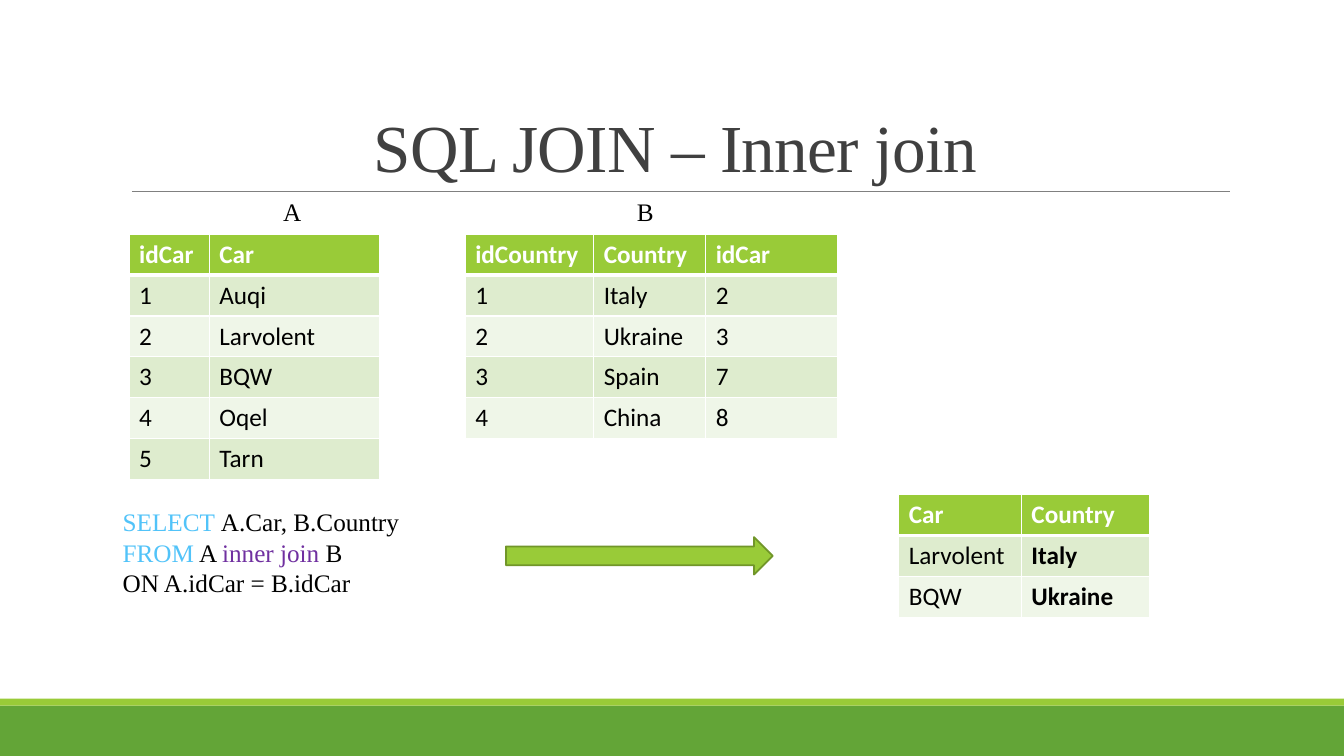
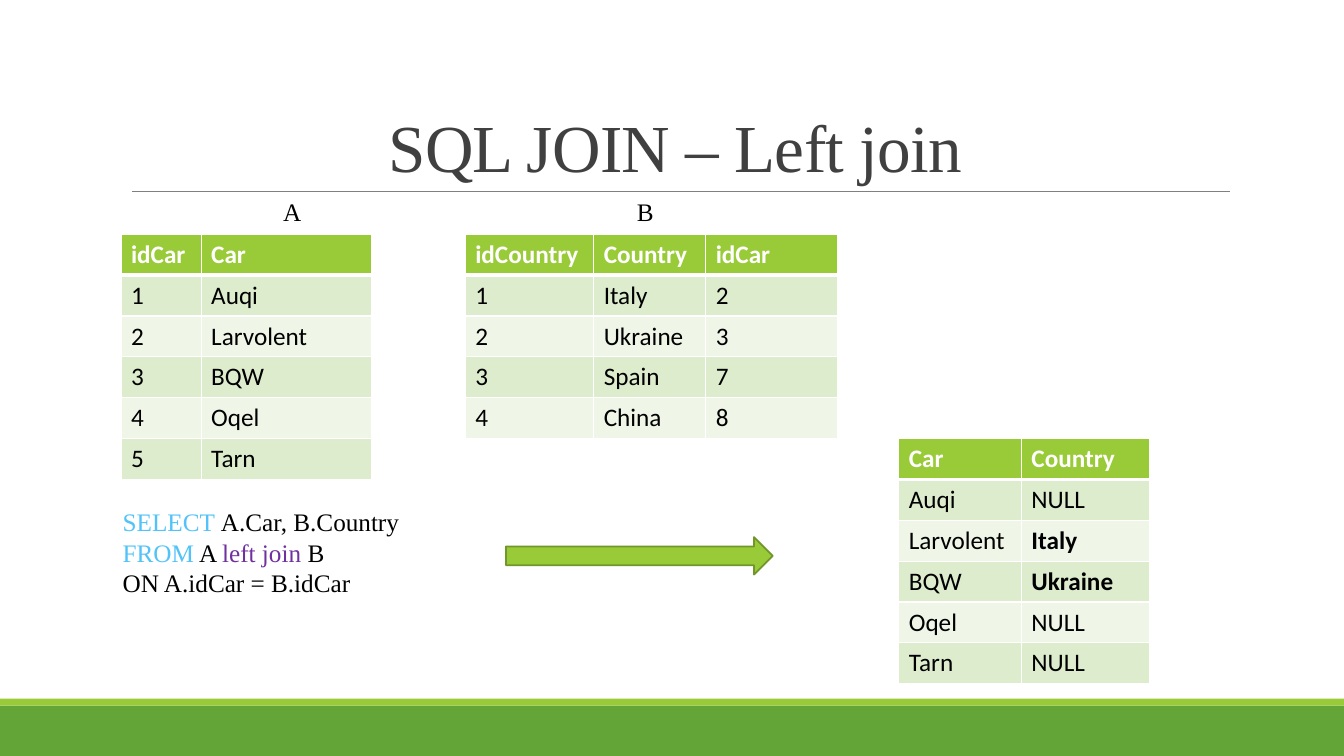
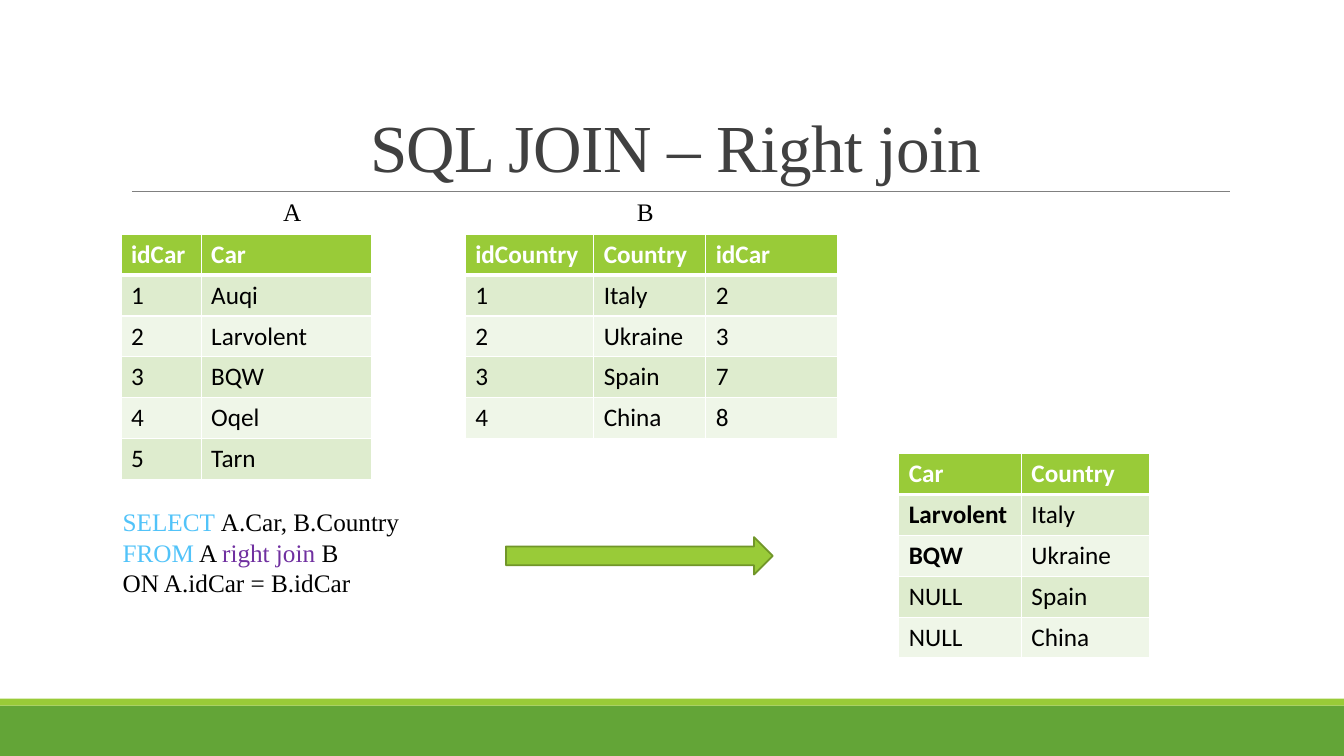
from dataclasses import dataclass

from lxml import etree
from pptx import Presentation
from pptx.dml.color import RGBColor
from pptx.enum.shapes import MSO_CONNECTOR, MSO_SHAPE
from pptx.enum.text import MSO_ANCHOR, MSO_AUTO_SIZE, PP_ALIGN
from pptx.oxml.ns import qn
from pptx.util import Pt

RECT = MSO_SHAPE.RECTANGLE
ARROW = MSO_SHAPE.RIGHT_ARROW
LINE = MSO_CONNECTOR.STRAIGHT
BOTTOM = MSO_ANCHOR.BOTTOM
GROW = MSO_AUTO_SIZE.SHAPE_TO_FIT_TEXT
LEFT = PP_ALIGN.LEFT
CENTER = PP_ALIGN.CENTER


@dataclass(frozen=True)
class Theme:
    """Colours, fonts and sizes of the deck."""
    white: str = "FFFFFF"
    ink: str = "000000"
    title: str = "404040"
    rule: str = "808080"
    base: str = "63A537"
    lime: str = "99CB38"
    edge: str = "719629"
    bands: tuple = ("DEECCE", "EFF6E8")
    key: str = "51C3F9"
    join: str = "7030A0"
    serif: str = "Times New Roman"
    sans: str = "Calibri"
    head: float = 48
    body: float = 18
    row: float = 29.2


T = Theme()
WIDTH, HEIGHT = 960, 540
CARS = [("idCar", "Car"), ("1", "Auqi"), ("2", "Larvolent"), ("3", "BQW"),
        ("4", "Oqel"), ("5", "Tarn")]
LANDS = [("idCountry", "Country", "idCar"), ("1", "Italy", "2"),
         ("2", "Ukraine", "3"), ("3", "Spain", "7"), ("4", "China", "8")]
TOP = ("Car", "Country")
PAIRS = [("Larvolent", "Italy"), ("BQW", "Ukraine")]
SLIDES = [
    dict(kind="inner", left=92.2, top=353.3, rows=[TOP, *PAIRS],
         strong=("Italy", "Ukraine")),
    dict(kind="left", left=86.4, top=313.2,
         rows=[TOP, ("Auqi", "NULL"), *PAIRS, ("Oqel", "NULL"), ("Tarn", "NULL")],
         strong=("Italy", "Ukraine")),
    dict(kind="right", left=86.4, top=324,
         rows=[TOP, *PAIRS, ("NULL", "Spain"), ("NULL", "China")],
         strong=("Larvolent", "BQW")),
]


def rgb(code):
    """Turn a hex code into a colour."""
    return RGBColor.from_string(code)


def write(frame, lines, font=T.serif, size=T.body, color=T.ink, bold=False,
          align=LEFT, lead=None, track=None):
    """Fill a text frame; each line is a list of (text, colour or None) runs."""
    for i, line in enumerate(lines):
        para = frame.paragraphs[0] if i == 0 else frame.add_paragraph()
        para.alignment = align
        if lead:
            para.line_spacing = lead
        for text, tint in line:
            run = para.add_run()
            run.text = text
            run.font.name, run.font.size, run.font.bold = font, Pt(size), bold
            run.font.color.rgb = rgb(tint or color)
            if track:
                run.font._element.set("spc", str(round(track * 100)))


def label(slide, box, lines):
    """Place a text box that fits its unwrapped lines."""
    frame = slide.shapes.add_textbox(*map(Pt, box)).text_frame
    frame.word_wrap = False
    frame.auto_size = GROW
    write(frame, lines)


def shape(slide, kind, box, fill, edge=None):
    """Place a flat preset shape."""
    item = slide.shapes.add_shape(kind, *map(Pt, box))
    item.shadow.inherit = False
    item.fill.solid()
    item.fill.fore_color.rgb = rgb(fill)
    if edge:
        item.line.color.rgb = rgb(edge)
        item.line.width = Pt(1.25)
    else:
        item.line.fill.background()


def base(slide):
    """Draw the bottom bands and the title rule."""
    shape(slide, RECT, (0, 504, WIDTH, 36), T.base)
    shape(slide, RECT, (0, 499, WIDTH, 5), T.lime)
    rule = slide.shapes.add_connector(LINE, Pt(94.3), Pt(136.8), Pt(878.8), Pt(136.8))
    rule.line.color.rgb = rgb(T.rule)
    rule.line.width = Pt(0.5)
    etree.SubElement(rule._element.spPr, qn("a:effectLst"))


def title(slide, box, text):
    """Write the slide title on the bottom of its box."""
    frame = slide.shapes.add_textbox(*map(Pt, box)).text_frame
    frame.word_wrap = True
    frame.vertical_anchor = BOTTOM
    write(frame, [[(text, None)]], size=T.head, color=T.title, align=CENTER,
          lead=0.85, track=-0.5)


def border(cell, **widths):
    """Set white borders by side: L, R, T and B."""
    props = cell._tc.get_or_add_tcPr()
    for side, width in widths.items():
        line = etree.SubElement(props, qn(f"a:ln{side}"), w=str(Pt(width)))
        fill = etree.SubElement(line, qn("a:solidFill"))
        etree.SubElement(fill, qn("a:srgbClr"), val=T.white)


def grid(slide, spot, cols, rows, strong=()):
    """Place a banded table with a header row."""
    size = (sum(cols), T.row * len(rows))
    table = slide.shapes.add_table(len(rows), len(cols), *map(Pt, (*spot, *size))).table
    for col, width in zip(table.columns, cols):
        col.width = Pt(width)
    for r, row in enumerate(rows):
        table.rows[r].height = Pt(T.row)
        head = r == 0
        for c, text in enumerate(row):
            cell = table.cell(r, c)
            border(cell, L=1, R=1, T=3 if r == 1 else 1, B=3 if head else 1)
            cell.fill.solid()
            cell.fill.fore_color.rgb = rgb(T.lime if head else T.bands[(r - 1) % 2])
            write(cell.text_frame, [[(text, None)]], font=T.sans,
                  color=T.white if head else T.ink, bold=head or text in strong)


def query(slide, box, kind):
    """Write the coloured SQL statement."""
    label(slide, box, [
        [("SELECT ", T.key), ("A.Car, B.Country", None)],
        [("FROM", T.key), (" A ", None), (f"{kind} join", T.join), (" B", None)],
        [("ON A.idCar = B.idCar", None)]])


def page(deck, kind, left, top, rows, strong):
    """Build one slide on a kind of join."""
    slide = deck.slides.add_slide(deck.slide_layouts[6])
    base(slide)
    title(slide, (86.4, 22.3, 792, 114.5), f"SQL JOIN – {kind.capitalize()} join")
    grid(slide, (left, 167.3), (57.3, 121.7), CARS)
    grid(slide, (332.3, 167.3), (91.8, 80, 94.4), LANDS)
    query(slide, (80.6, 358.3, 213.1, 72.7), kind)
    for name, x in (("A", 195.1), ("B", 447.8)):
        label(slide, (x, 136.8, 27, 29), [[(name, None)]])
    shape(slide, ARROW, (361.4, 383.6, 190.6, 26.8), T.lime, edge=T.edge)
    grid(slide, (642, top), (87.6, 91.4), rows, strong)


def main():
    """Build and save the deck."""
    deck = Presentation()
    deck.slide_width, deck.slide_height = Pt(WIDTH), Pt(HEIGHT)
    for parts in SLIDES:
        page(deck, **parts)
    deck.save("out.pptx")


main()
